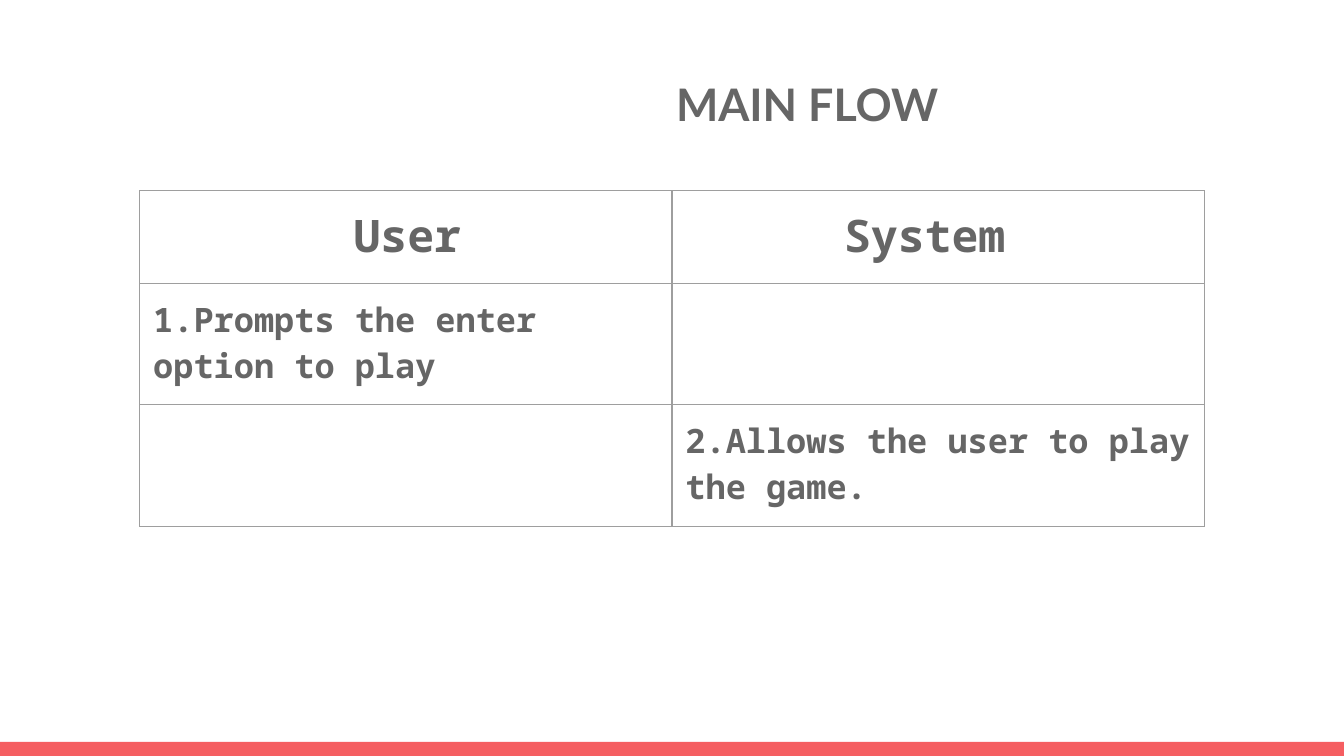
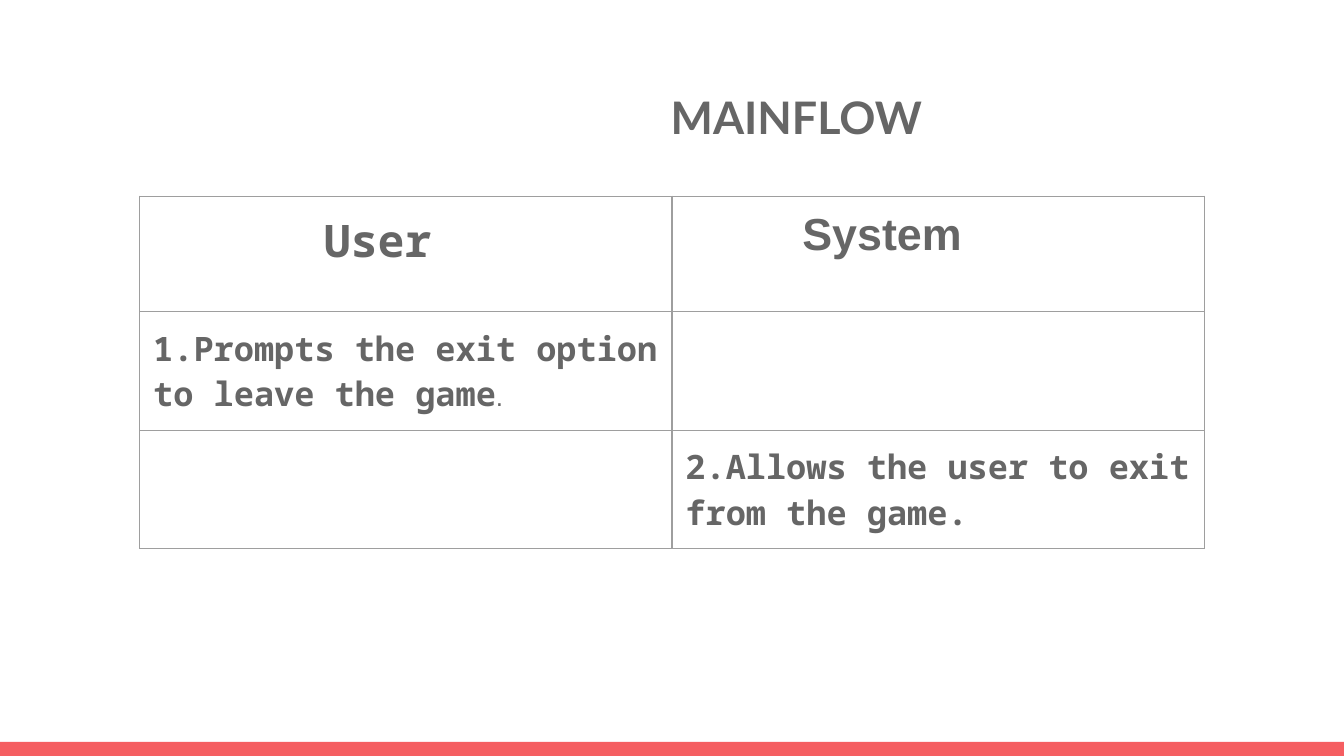
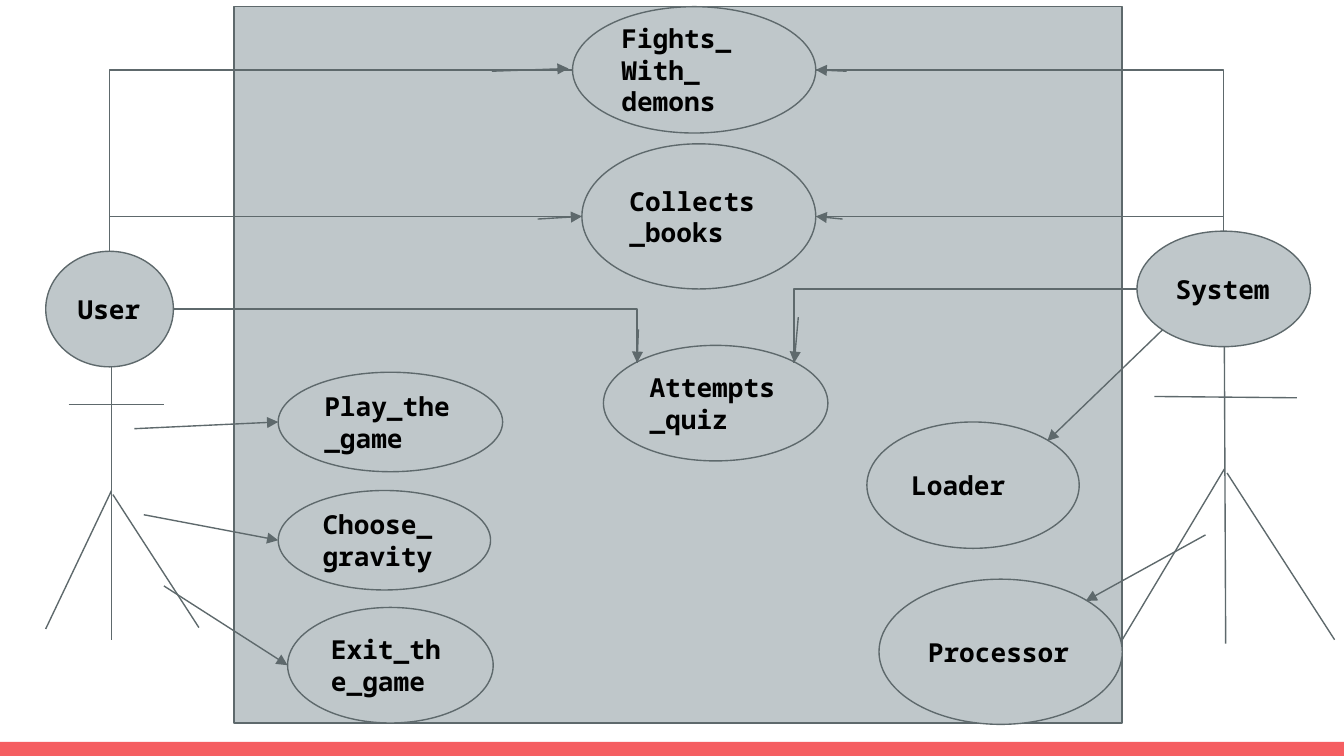
from lxml.etree import SubElement
from pptx import Presentation
from pptx.dml.color import RGBColor
from pptx.enum.shapes import MSO_CONNECTOR, MSO_SHAPE
from pptx.enum.text import MSO_ANCHOR, MSO_AUTO_SIZE, PP_ALIGN
from pptx.oxml.ns import qn
from pptx.util import Inches, Pt

WHITE = RGBColor(0xFF, 0xFF, 0xFF)
BLACK = RGBColor(0, 0, 0)
CORAL = RGBColor(0xF5, 0x5E, 0x61)
SLATE = RGBColor(0x5E, 0x69, 0x6C)
MIST = RGBColor(0xBF, 0xC7, 0xCA)
GRAY = RGBColor(0x66, 0x66, 0x66)
EDGE = "9E9E9E"
MONO, SANS, HEAD = "Noto Sans Mono", "Arial", "Lato"
INSET = Inches(0.1)

# Flow slides: headers are (text, font, indent); a step may end in a small mark
FLOWS = [
    dict(title="MAIN FLOW", at=(0.38, 0.41), top=1.42, rows=(0.69, 0.9, 0.91),
         heads=[("User", MONO, 1.49), ("System", MONO, 1.18)],
         steps=[("1.Prompts the enter option to play", ""),
                ("2.Allows the user to play the game.", "")]),
    dict(title="MAINFLOW", at=(0.34, 0.51), top=1.46, rows=(0.86, 0.86, 0.86),
         heads=[("User", MONO, 1.27), ("System", SANS, 0.87)],
         steps=[("1.Prompts the exit option to leave the game", "."),
                ("2.Allows the user to exit from the game.", "")]),
]

# Use case diagram: name -> (text, left, top, width, height)
FRAME = (1.74, 0.05, 6.61, 5.33)
OVALS = {
    "play": ("Play_the_game", 2.07, 2.77, 1.67, 0.74),
    "books": ("Collects_books", 4.33, 1.07, 1.74, 1.08),
    "exit": ("Exit_the_game", 2.14, 4.52, 1.53, 0.86),
    "choose": ("Choose_gravity", 2.07, 3.65, 1.58, 0.74),
    "fights": ("Fights_\nWith_\ndemons", 4.26, 0.05, 1.81, 0.94),
    "user": ("User", 0.34, 1.87, 0.95, 0.86),
    "system": ("System", 8.46, 1.72, 1.29, 0.86),
    "loader": ("Loader", 6.45, 3.14, 1.58, 0.94),
    "proc": ("Processor", 6.54, 4.31, 1.81, 1.08),
    "quiz": ("Attempts_quiz", 4.49, 2.57, 1.67, 0.86),
}
# Points on an oval's rim, as shares of its width and height
PORTS = {"left": (0, 0.5), "right": (1, 0.5), "top": (0.5, 0), "nw": (0.15, 0.15),
         "ne": (0.85, 0.15), "sw": (0.15, 0.85)}
LIMBS = [
    # User: body, legs, arms
    ((0.83, 2.58), (0.83, 4.76)), ((0.83, 3.65), (0.34, 4.68)),
    ((0.84, 3.68), (1.48, 4.67)), ((0.51, 3.01), (1.22, 3.01)),
    # System: body, legs, arms
    ((9.11, 2.58), (9.12, 4.79)), ((9.11, 3.49), (8.35, 4.76)),
    ((9.13, 3.52), (9.93, 4.76)), ((8.59, 2.95), (9.65, 2.96)),
]
# Each bend runs level first, then upright
BENDS = [
    (("fights", "left"), ("user", "top")), (("books", "left"), ("user", "top")),
    (("fights", "right"), ("system", "top")), (("books", "right"), ("system", "top")),
    (("user", "right"), ("quiz", "nw")), (("system", "left"), ("quiz", "ne")),
]
ARROWS = [
    ((1, 3.19), ("play", "left")), ((1.07, 3.83), ("choose", "left")),
    ((1.22, 4.36), ("exit", "left")), ((8.97, 3.98), ("proc", "ne")),
    (("system", "sw"), ("loader", "ne")), ((3.66, 0.53), (4.23, 0.51)),
    ((4, 1.63), ("books", "left")), ((6.3, 0.53), ("fights", "right")),
    ((6.27, 1.63), ("books", "right")), ((4.75, 2.45), ("quiz", "nw")),
    ((5.94, 2.36), ("quiz", "ne")),
]


def style(font, name, size, color, bold=True):
    font.name, font.size, font.bold = name, Pt(size), bold
    font.color.rgb = color


def indent(para, size):
    props = para._p.get_or_add_pPr()
    props.set("marL", str(Inches(size)))
    props.set("indent", "0")


def pad(frame):
    frame.margin_left = frame.margin_right = INSET
    frame.margin_top = frame.margin_bottom = INSET


def add_box(slide, kind, box, fill, line=None):
    shape = slide.shapes.add_shape(kind, *map(Inches, box))
    shape.shadow.inherit = False
    shape.fill.solid()
    shape.fill.fore_color.rgb = fill
    if line is None:
        shape.line.fill.background()
    else:
        shape.line.color.rgb = line
        shape.line.width = Pt(0.75)
    return shape


def add_page(deck, layout):
    slide = deck.slides.add_slide(deck.slide_layouts[layout])
    slide.background.fill.solid()
    slide.background.fill.fore_color.rgb = WHITE
    add_box(slide, MSO_SHAPE.RECTANGLE, (0, 5.52, 10, 0.11), CORAL)
    return slide


def add_title(slide, text, at):
    title = slide.shapes.title
    title.left, title.top = map(Inches, at)
    title.width, title.height = Inches(9.32), Inches(0.8)
    frame = title.text_frame
    frame.text = text
    frame.auto_size = MSO_AUTO_SIZE.NONE
    frame.vertical_anchor = MSO_ANCHOR.TOP
    pad(frame)
    para = frame.paragraphs[0]
    para.alignment, para.line_spacing = PP_ALIGN.LEFT, 1.15
    indent(para, 4.55)
    style(para.font, HEAD, 24, GRAY)


def dress(cell):
    pad(cell)
    props = cell._tc.get_or_add_tcPr()
    for side in ("a:lnL", "a:lnR", "a:lnT", "a:lnB"):
        line = SubElement(props, qn(side), w=str(Pt(0.75)))
        SubElement(SubElement(line, qn("a:solidFill")), qn("a:srgbClr"), val=EDGE)
    cell.fill.background()


def add_flow(deck, flow):
    slide = add_page(deck, 5)
    add_title(slide, flow["title"], flow["at"])
    rows = flow["rows"]
    table = slide.shapes.add_table(
        len(rows), 2, Inches(1.04), Inches(flow["top"]),
        Inches(7.92), Inches(sum(rows))).table
    table.first_row = table.horz_banding = False
    for row, tall in zip(table.rows, rows):
        row.height = Inches(tall)
    for cell in table.iter_cells():
        dress(cell)
    for col, (text, font, gap) in enumerate(flow["heads"]):
        para = table.cell(0, col).text_frame.paragraphs[0]
        para.text = text
        indent(para, gap)
        style(para.font, font, 24, GRAY)
    # Steps alternate between the two columns
    for col, (text, mark) in enumerate(flow["steps"]):
        para = table.cell(col + 1, col).text_frame.paragraphs[0]
        para.text = text
        style(para.font, MONO, 18, GRAY)
        if mark:
            end = para.add_run()
            end.text = mark
            style(end.font, SANS, 14, GRAY, False)


def add_oval(slide, text, *box):
    shape = add_box(slide, MSO_SHAPE.OVAL, box, MIST, SLATE)
    frame = shape.text_frame
    frame.text = text
    frame.word_wrap = True
    frame.vertical_anchor = MSO_ANCHOR.MIDDLE
    pad(frame)
    for para in frame.paragraphs:
        para.alignment = PP_ALIGN.LEFT
        style(para.font, MONO, 14, BLACK)


def spot(end):
    """Turn an (oval, port) pair into a point; leave points as they are."""
    if end[0] not in OVALS:
        return end
    _, left, top, wide, tall = OVALS[end[0]]
    across, down = PORTS[end[1]]
    return left + across * wide, top + down * tall


def add_line(slide, start, end, bent=False, arrow=False):
    kind = MSO_CONNECTOR.ELBOW if bent else MSO_CONNECTOR.STRAIGHT
    line = slide.shapes.add_connector(kind, *map(Inches, spot(start) + spot(end)))
    line.line.color.rgb = SLATE
    line.line.width = Pt(0.75)
    props = line._element.spPr
    if bent:
        props.find(qn("a:prstGeom")).set("prst", "bentConnector2")
    if arrow:
        SubElement(props.find(qn("a:ln")), qn("a:tailEnd"), type="triangle")
    SubElement(props, qn("a:effectLst"))


def add_cases(deck):
    slide = add_page(deck, 6)
    add_box(slide, MSO_SHAPE.RECTANGLE, FRAME, MIST, SLATE)
    # Limbs go behind the heads
    for ends in LIMBS:
        add_line(slide, *ends)
    for oval in OVALS.values():
        add_oval(slide, *oval)
    for ends in BENDS:
        add_line(slide, *ends, bent=True)
    for ends in ARROWS:
        add_line(slide, *ends, arrow=True)


def main():
    deck = Presentation()
    # Widescreen, 16:9
    deck.slide_width = Inches(10)
    deck.slide_height = deck.slide_width * 9 // 16
    for flow in FLOWS:
        add_flow(deck, flow)
    add_cases(deck)
    deck.save("out.pptx")


if __name__ == "__main__":
    main()
